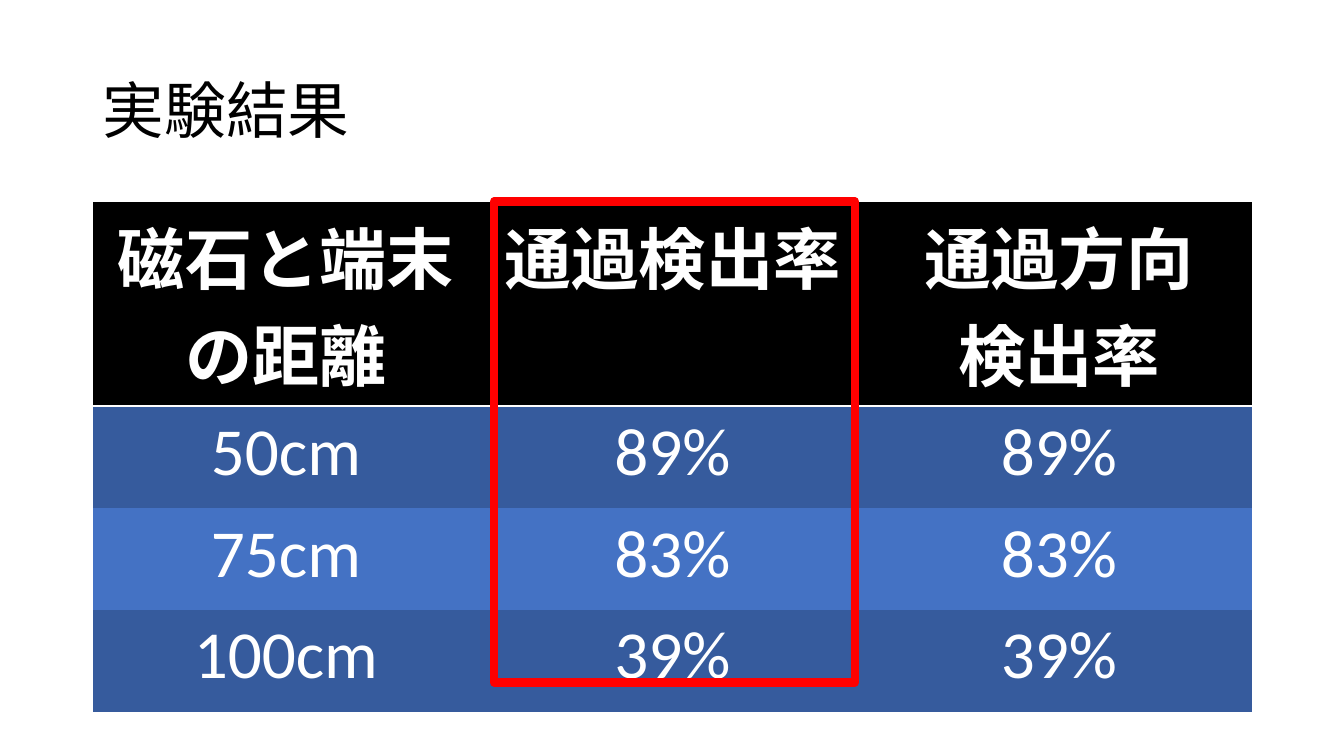
from lxml.etree import SubElement
from pptx import Presentation
from pptx.dml.color import RGBColor
from pptx.enum.shapes import MSO_SHAPE
from pptx.enum.text import MSO_ANCHOR, PP_ALIGN
from pptx.oxml.ns import qn
from pptx.util import Inches, Pt

# Content
TITLE = "実験結果"
RESULTS = [
    ("磁石と端末の距離", "通過検出率", "通過方向\n検出率"),
    ("50cm", "89%", "89%"),
    ("75cm", "83%", "83%"),
    ("100cm", "39%", "39%"),
]
FONT = "Calibri"
HEADER_FILL, BAND_FILLS = "000000", ("4472C4", "365B9D")
NO_GRID_STYLE = "{2D5ABB26-0587-4C30-8999-92F81FD0307C}"

# Layout
SLIDE_W, SLIDE_H = Inches(13.33), Inches(7.5)
LEFT, WIDTH = Inches(0.92), Inches(11.5)
TABLE_TOP, HEADER_H, ROW_H = Inches(2), Inches(1.74), Inches(1.01)
TABLE_H = HEADER_H + ROW_H * (len(RESULTS) - 1)


def color(hex_string):
    return RGBColor.from_string(hex_string)


def format_text(paragraph, size, hex_string, align, bold=False):
    paragraph.alignment = align
    for run in paragraph.runs:
        run.font.name = FONT
        run.font.size = Pt(size)
        run.font.bold = bold
        run.font.color.rgb = color(hex_string)


def add_bottom_border(cell, hex_string, points):
    # Borders must come before the fill in the cell properties
    properties = cell._tc.get_or_add_tcPr()
    border = SubElement(properties, qn("a:lnB"), w=str(Pt(points)))
    properties.insert(0, border)
    fill = SubElement(border, qn("a:solidFill"))
    SubElement(fill, qn("a:srgbClr"), val=hex_string)


prs = Presentation()
prs.slide_width, prs.slide_height = SLIDE_W, SLIDE_H
slide = prs.slides.add_slide(prs.slide_layouts[5])

# Title
title = slide.shapes.title
title.left, title.top, title.width, title.height = LEFT, Inches(0.4), WIDTH, Inches(1.45)
title.text_frame.text = TITLE
title.text_frame.vertical_anchor = MSO_ANCHOR.MIDDLE
heading = title.text_frame.paragraphs[0]
heading.line_spacing = 0.9
format_text(heading, 44, "000000", PP_ALIGN.LEFT)

# Results table
results = slide.shapes.add_table(
    len(RESULTS), len(RESULTS[0]), LEFT, TABLE_TOP, WIDTH, TABLE_H
).table
results._tbl.tblPr.find(qn("a:tableStyleId")).text = NO_GRID_STYLE
for r, values in enumerate(RESULTS):
    is_header = r == 0
    results.rows[r].height = HEADER_H if is_header else ROW_H
    for c, value in enumerate(values):
        cell = results.cell(r, c)
        cell.fill.solid()
        cell.fill.fore_color.rgb = color(HEADER_FILL if is_header else BAND_FILLS[r % 2])
        entry = cell.text_frame.paragraphs[0]
        entry.text = value
        format_text(entry, 48, "FFFFFF", PP_ALIGN.CENTER, bold=is_header)
        if is_header:
            add_bottom_border(cell, "FFFFFF", 2)

# Frame around the detection rate column
highlight = slide.shapes.add_shape(
    MSO_SHAPE.RECTANGLE, Inches(4.9), TABLE_TOP, Inches(3.58), TABLE_H
)
highlight.shadow.inherit = False
highlight.fill.background()
highlight.line.color.rgb = color("FF0000")
highlight.line.width = Pt(6)

prs.save("out.pptx")
